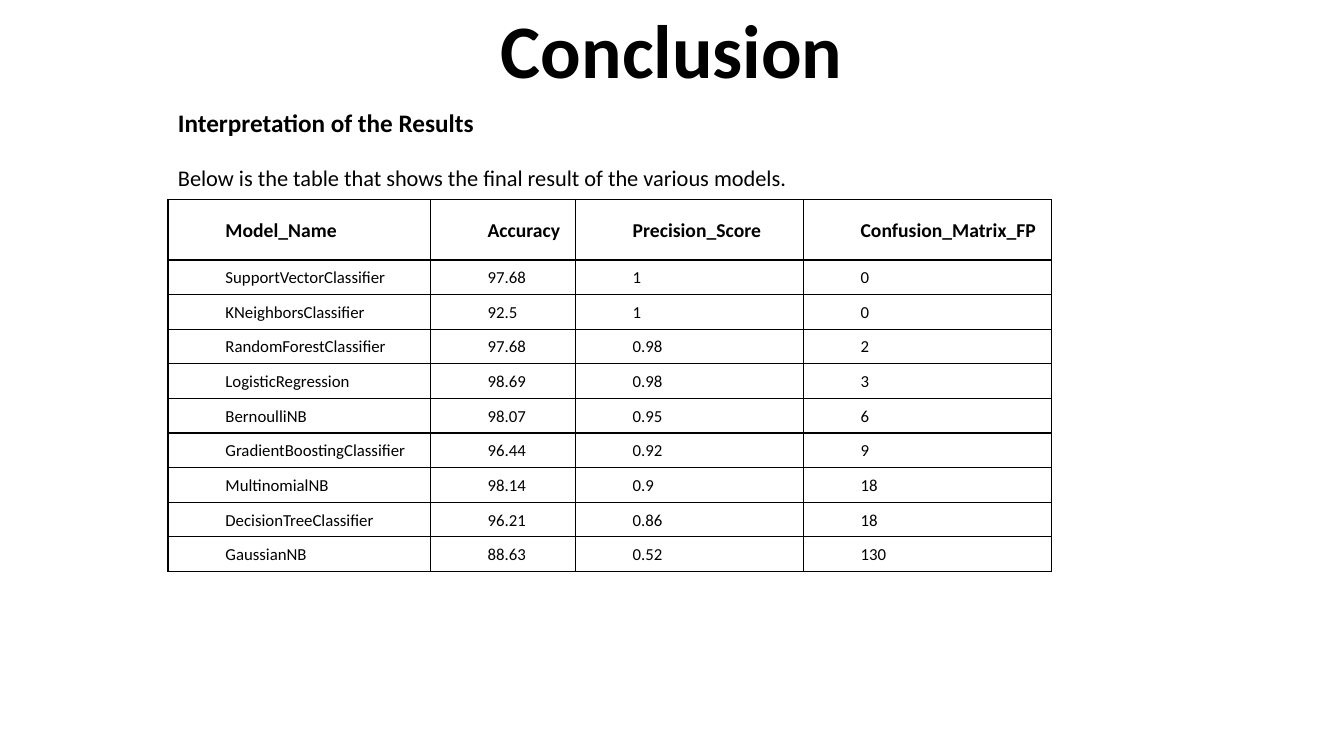
import pptx
import pptx.util
import pptx.dml.color
import pptx.enum.text
import pptx.oxml.ns
import lxml.etree

WIDE, HIGH = 13.33, 7.5
FONT, INK = "Calibri", "000000"
LEFT = WIDE / 8
BAND = 0.99  # title height; the table starts two bands down
COLS = [2.6, 1.44, 2.26, 2.46]
HEAD, BODY = 0.6, 3.09
ALIGN = pptx.enum.text.PP_ALIGN
ANCHOR = pptx.enum.text.MSO_ANCHOR

ROWS = [
    ("Model_Name", "Accuracy", "Precision_Score", "Confusion_Matrix_FP"),
    ("SupportVectorClassifier", "97.68", "1", "0"),
    ("KNeighborsClassifier", "92.5", "1", "0"),
    ("RandomForestClassifier", "97.68", "0.98", "2"),
    ("LogisticRegression", "98.69", "0.98", "3"),
    ("BernoulliNB", "98.07", "0.95", "6"),
    ("GradientBoostingClassifier", "96.44", "0.92", "9"),
    ("MultinomialNB", "98.14", "0.9", "18"),
    ("DecisionTreeClassifier", "96.21", "0.86", "18"),
    ("GaussianNB", "88.63", "0.52", "130"),
]


def inch(size):
    return pptx.util.Inches(size)


def color(code):
    return pptx.dml.color.RGBColor.from_string(code)


def write(para, text, size, bold=False, lines=1.07, before=0, after=0,
          align=ALIGN.LEFT):
    para.alignment = align
    para.line_spacing = lines
    para.space_before = pptx.util.Pt(before)
    para.space_after = pptx.util.Pt(after)
    run = para.add_run()
    run.text = text
    run.font.name = FONT
    run.font.size = pptx.util.Pt(size)
    run.font.bold = bold
    run.font.color.rgb = color(INK)


def add_box(slide, left, top, width, height, anchor):
    box = slide.shapes.add_textbox(*map(inch, (left, top, width, height)))
    frame = box.text_frame
    frame.word_wrap = True
    frame.vertical_anchor = anchor
    return frame


def add_edges(cell):
    """Draw a thin line on all four sides of a cell."""
    props = cell._tc.get_or_add_tcPr()
    name = pptx.oxml.ns.qn
    for spot, side in enumerate(("a:lnL", "a:lnR", "a:lnT", "a:lnB")):
        line = lxml.etree.Element(name(side), w=str(pptx.util.Pt(1)))
        fill = lxml.etree.SubElement(line, name("a:solidFill"))
        lxml.etree.SubElement(fill, name("a:srgbClr"), val=INK)
        props.insert(spot, line)


def fill_cell(cell, text, head, last):
    cell.fill.background()
    cell.vertical_anchor = ANCHOR.MIDDLE
    cell.margin_left = cell.margin_right = inch(0.07)
    cell.margin_top = cell.margin_bottom = 0
    para = cell.text_frame.paragraphs[0]
    write(para, text, 14 if head else 12, head, after=8 if last else 0)
    para._p.get_or_add_pPr().set("marL", str(inch(0.5)))
    add_edges(cell)


def add_grid(slide, left, top):
    frame = slide.shapes.add_table(len(ROWS), len(COLS), inch(left), inch(top),
                                   inch(sum(COLS)), inch(HEAD + BODY))
    table = frame.table
    table.first_row = table.horz_banding = False
    for col, width in zip(table.columns, COLS):
        col.width = inch(width)
    for r, texts in enumerate(ROWS):
        table.rows[r].height = inch(BODY / (len(ROWS) - 1) if r else HEAD)
        for c, text in enumerate(texts):
            fill_cell(table.cell(r, c), text, r == 0, c == len(COLS) - 1)


def main():
    deck = pptx.Presentation()
    deck.slide_width, deck.slide_height = inch(WIDE), inch(HIGH)
    slide = deck.slides.add_slide(deck.slide_layouts[6])

    # Title
    title = add_box(slide, 0, 0, WIDE, BAND, ANCHOR.BOTTOM)
    write(title.paragraphs[0], "Conclusion", 54, True, 0.9, align=ALIGN.CENTER)

    # Heading and lead-in
    intro = add_box(slide, LEFT, BAND, WIDE * 3 / 4, HIGH - BAND, ANCHOR.TOP)
    write(intro.paragraphs[0], "Interpretation of the Results", 18, True,
          before=10, after=8)
    write(intro.add_paragraph(),
          "Below is the table that shows the final result of the various models.",
          16, before=10, after=8)

    # Table of results
    add_grid(slide, LEFT, 2 * BAND)
    deck.save("out.pptx")


main()
